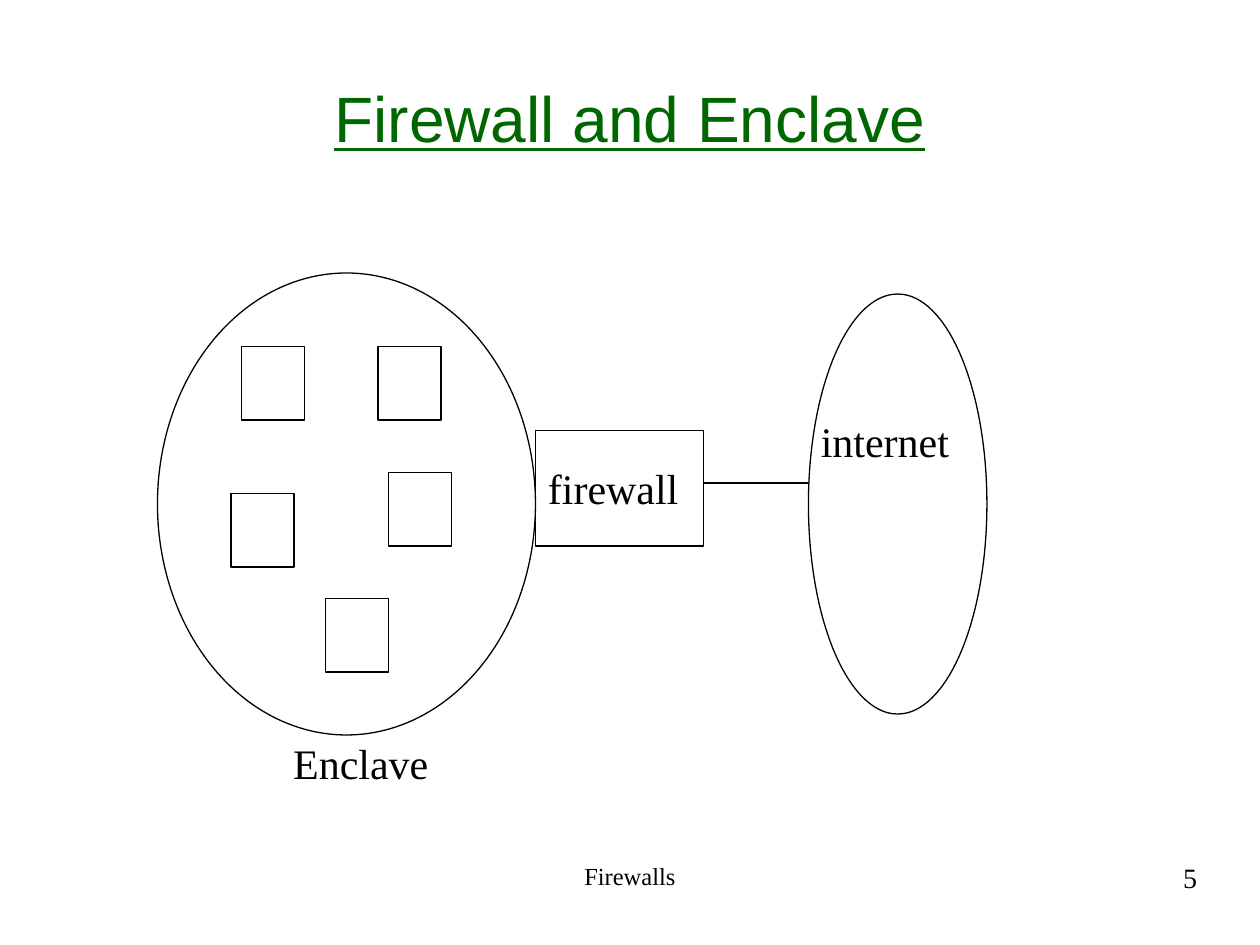
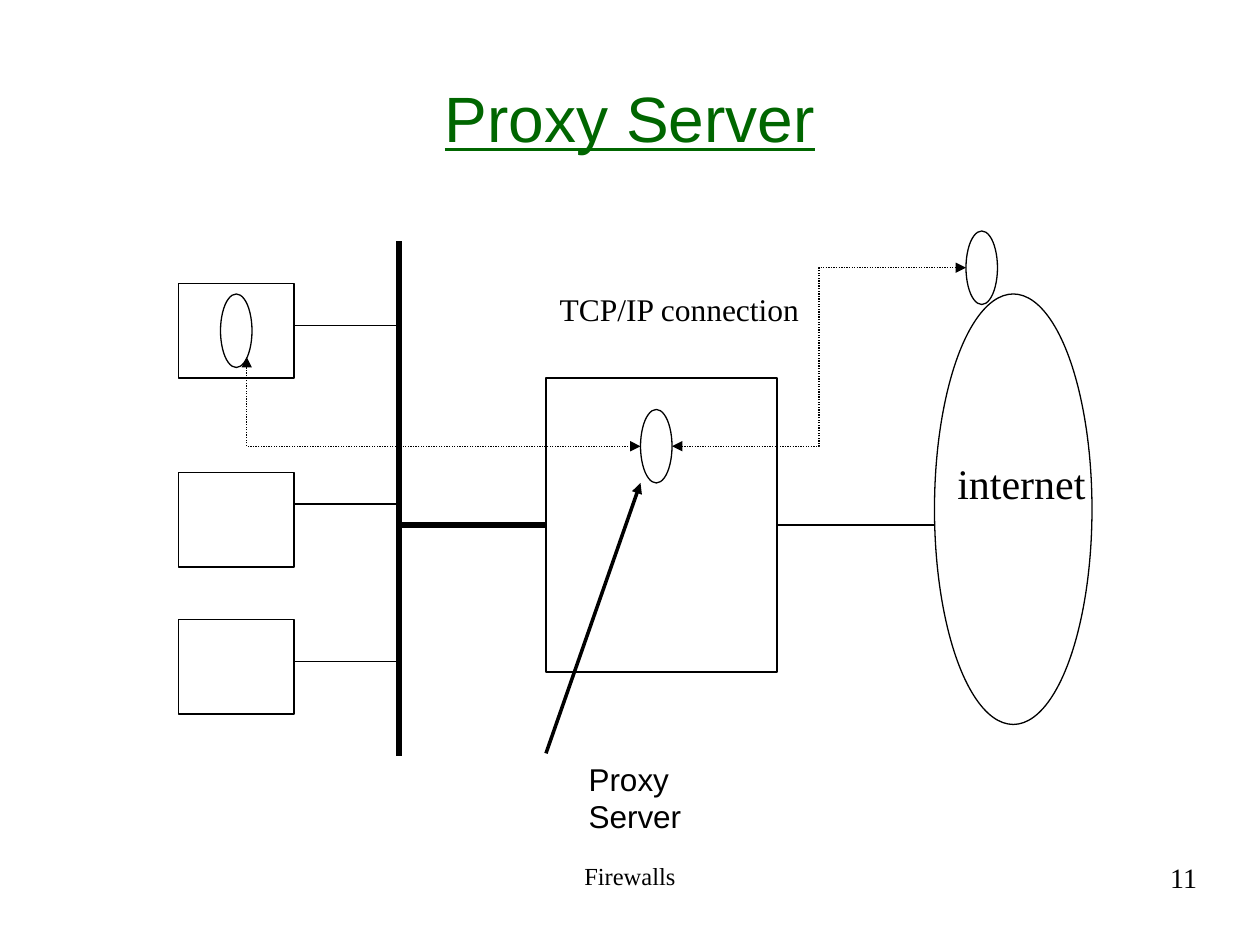
import pptx
import pptx.util
import pptx.dml.color
import pptx.enum.dml
import pptx.enum.shapes
import pptx.enum.text
import pptx.oxml.ns
import lxml.etree

PX = 9525  # 96 px to the inch
INK, GREEN = "000000", "006600"
SERIF, SANS = "Times New Roman", "Arial"
hue = pptx.dml.color.RGBColor.from_string
tag = pptx.oxml.ns.qn
RECT = pptx.enum.shapes.MSO_SHAPE.RECTANGLE
OVAL = pptx.enum.shapes.MSO_SHAPE.OVAL
LINE = pptx.enum.shapes.MSO_CONNECTOR.STRAIGHT
BENT = pptx.enum.shapes.MSO_CONNECTOR.ELBOW
ALIGN = pptx.enum.text.PP_ALIGN
TOP = pptx.enum.text.MSO_ANCHOR.TOP
MID = pptx.enum.text.MSO_ANCHOR.MIDDLE


def write(page, text, box=None, shape=None, size=24, font=SERIF, color=INK,
          align=ALIGN.LEFT, anchor=TOP, under=False, inset=True, wrap=False):
    """Put text in a shape, or in a new text box."""
    shape = shape or page.shapes.add_textbox(*[n * PX for n in box])
    frame = shape.text_frame
    frame.word_wrap, frame.vertical_anchor = wrap, anchor
    if not inset:
        frame.margin_left = frame.margin_right = 0
        frame.margin_top = frame.margin_bottom = 0
    para = frame.paragraphs[0]
    para.alignment = align
    run = para.add_run()
    run.text = text
    run.font.size, run.font.name = pptx.util.Pt(size), font
    run.font.color.rgb, run.font.underline = hue(color), under


def draw(page, kind, *place, width=0.75, dots=False, ends=()):
    """Shape: left, top, width, height. Line: from x, y to x, y."""
    place = [n * PX for n in place]
    if kind in (RECT, OVAL) and isinstance(kind, pptx.enum.shapes.MSO_SHAPE):
        item = page.shapes.add_shape(kind, *place)
        item.fill.background()
        item.shadow.inherit = False
    else:
        item = page.shapes.add_connector(kind, *place)
    item.line.color.rgb = hue(INK)
    item.line.width = pptx.util.Pt(width)
    if dots:
        item.line.dash_style = pptx.enum.dml.MSO_LINE.ROUND_DOT
    if isinstance(kind, pptx.enum.shapes.MSO_CONNECTOR):
        props = item._element.spPr
        for end in ends:
            lxml.etree.SubElement(props.find(tag("a:ln")), tag("a:" + end),
                                  type="triangle")
        lxml.etree.SubElement(props, tag("a:effectLst"))
    return item


deck = pptx.Presentation()
deck.slide_width, deck.slide_height = 960 * PX, 720 * PX

# Title, footer and number on each slide
pages = []
for title, number in (("Firewall and Enclave", "5"), ("Proxy Server", "11")):
    page = deck.slides.add_slide(deck.slide_layouts[6])
    write(page, title, (48, 29, 864, 120), size=36.6, font=SANS, color=GREEN,
          align=ALIGN.CENTER, anchor=MID, under=True, inset=False, wrap=True)
    write(page, "Firewalls", (328, 656, 304, 50), size=14,
          align=ALIGN.CENTER, inset=False, wrap=True)
    write(page, number, (688, 656, 224, 50), size=16,
          align=ALIGN.RIGHT, inset=False, wrap=True)
    pages.append(page)
enclave, proxy = pages

# Slide 1: enclave, firewall and internet
draw(enclave, OVAL, 616, 224, 136, 320)
write(enclave, "internet", (616, 312, 117, 48))
wall = draw(enclave, RECT, 408, 328, 128, 88)
write(enclave, "firewall", shape=wall, anchor=MID)
draw(enclave, OVAL, 120, 208, 288, 352)
draw(enclave, LINE, 536, 368, 616, 368)
write(enclave, "Enclave", (214, 557, 122, 48))

# Computers in the enclave
for x, y in ((184, 264), (288, 264), (176, 376), (248, 456), (296, 360)):
    draw(enclave, RECT, x, y, 48, 56)

# Slide 2: hosts, each linked to the bus
draw(proxy, LINE, 304, 184, 304, 576, width=3)
for top, link in ((216, 248), (360, 384), (472, 504)):
    draw(proxy, RECT, 136, top, 88, 72)
    draw(proxy, LINE, 224, link, 304, link)

# Server box between the bus and the internet
server = draw(proxy, RECT, 416, 288, 176, 224)
trunk = draw(proxy, LINE, 304, 400, 416, 400, width=3)
trunk.end_connect(server, 1)
draw(proxy, OVAL, 712, 224, 120, 328)
uplink = draw(proxy, LINE, 592, 400, 712, 400)
uplink.begin_connect(server, 3)
write(proxy, "internet", (720, 344, 117, 48))

# Processes on host, server and internet
for x, y in ((168, 224), (488, 312), (736, 176)):
    draw(proxy, OVAL, x, y, 24, 56)

# Dotted connections between the processes
both = ("headEnd", "tailEnd")
draw(proxy, BENT, 512, 340, 736, 204, dots=True, ends=both)
inner = draw(proxy, BENT, 188, 272, 488, 340, dots=True, ends=both)
inner._element.spPr.find(tag("a:prstGeom")).set("prst", "bentConnector2")
inner._element.spPr.find(tag("a:xfrm")).set("rot", "10800000")
write(proxy, "TCP/IP connection", (417, 216, 202, 38), size=18)

# Pointer to the proxy process
draw(proxy, LINE, 416, 574, 488, 368, width=0, ends=("tailEnd",))
write(proxy, "Proxy Server", (439, 574, 157, 36), size=18, font=SANS)

deck.save("out.pptx")
